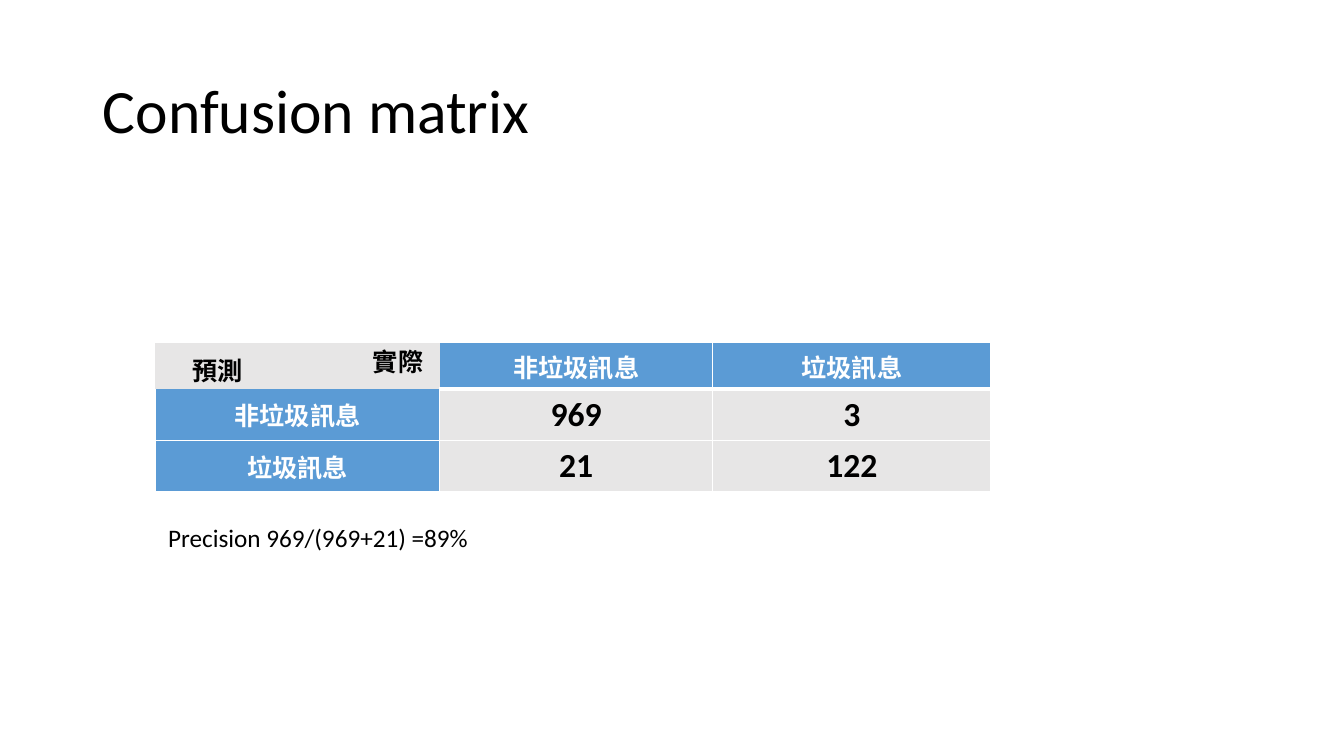
from lxml import etree
from pptx import Presentation
from pptx.dml.color import RGBColor
from pptx.enum.text import MSO_ANCHOR, MSO_AUTO_SIZE, PP_ALIGN
from pptx.oxml.ns import qn
from pptx.util import Inches, Pt

LEFT, CENTER = PP_ALIGN.LEFT, PP_ALIGN.CENTER
MIDDLE = MSO_ANCHOR.MIDDLE
GROW = MSO_AUTO_SIZE.SHAPE_TO_FIT_TEXT
BLACK = RGBColor(0x00, 0x00, 0x00)
WHITE = RGBColor(0xFF, 0xFF, 0xFF)
BLUE = RGBColor(0x5B, 0x9B, 0xD5)
GRAY = RGBColor(0xE7, 0xE6, 0xE6)
LATIN, CJK = "Calibri", "Noto Sans CJK SC"


def write(tf, text, size=18, font=LATIN, color=BLACK, bold=False, align=LEFT):
    """Write one formatted paragraph into a text frame and return it."""
    p = tf.paragraphs[0]
    p.alignment = align
    r = p.add_run()
    r.text = text
    r.font.size, r.font.name, r.font.bold = Pt(size), font, bold
    r.font.color.rgb = color
    etree.SubElement(r.font._element, qn("a:ea"), typeface=CJK)
    return p


def set_border(cell, side, width):
    """Draw one white cell edge, or hide it when the width is 0."""
    tc_pr = cell._tc.get_or_add_tcPr()
    ln = etree.SubElement(tc_pr, qn(f"a:ln{side}"), w=str(Pt(width)))
    if width:
        fill = etree.SubElement(ln, qn("a:solidFill"))
        etree.SubElement(fill, qn("a:srgbClr"), val=str(WHITE))
    else:
        etree.SubElement(ln, qn("a:noFill"))


prs = Presentation()
prs.slide_width, prs.slide_height = Inches(13.33), Inches(7.5)
s = prs.slides.add_slide(prs.slide_layouts[5])

# Title
title = s.shapes.title
title.left, title.top = Inches(0.92), Inches(0.4)
title.width, title.height = Inches(11.5), Inches(1.45)
title.text_frame.vertical_anchor = MIDDLE
write(title.text_frame, "Confusion matrix", size=44).line_spacing = 0.9

# Confusion matrix: predictions in rows, actual classes in columns
matrix = [
    ["", "非垃圾訊息", "垃圾訊息"],
    ["非垃圾訊息", "969", "3"],
    ["垃圾訊息", "21", "122"],
]
col_widths = [2.82, 2.71, 2.76]
row_height = 0.41
table = s.shapes.add_table(
    3, 3, Inches(1.54), Inches(3.4),
    Inches(sum(col_widths)), Inches(3 * row_height)).table
for col, width in zip(table.columns, col_widths):
    col.width = Inches(width)
for row in table.rows:
    row.height = Inches(row_height)

for i, values in enumerate(matrix):
    for j, text in enumerate(values):
        cell = table.cell(i, j)
        corner = i == j == 0
        header = (i == 0 or j == 0) and not corner
        edges = {
            "L": 0 if corner or (i, j) == (0, 1) else 1,
            "R": 0 if corner else 1,
            "T": 0 if corner or (i, j) == (1, 0) else 3 if i == 1 else 1,
            "B": 0 if corner else 3 if i == 0 else 1,
        }
        for side, width in edges.items():
            set_border(cell, side, width)
        cell.fill.solid()
        cell.fill.fore_color.rgb = BLUE if header else GRAY
        cell.vertical_anchor = MIDDLE
        if text:
            write(cell.text_frame, text, size=18 if header else 24,
                  color=WHITE if header else BLACK, bold=True, align=CENTER)

# Axis names in the corner cell, and the precision below the table
labels = [
    ("預測", 1.81, 3.48, 0.79, CJK, True),
    ("實際", 3.6, 3.39, 0.79, CJK, True),
    ("Precision 969/(969+21) =89%", 1.57, 5.13, 7.76, LATIN, False),
]
for text, left, top, width, font, bold in labels:
    sp = s.shapes.add_textbox(Inches(left), Inches(top), Inches(width), Inches(0.4))
    tf = sp.text_frame
    tf.word_wrap = True
    tf.auto_size = GROW
    write(tf, text, font=font, bold=bold)

prs.save("out.pptx")
